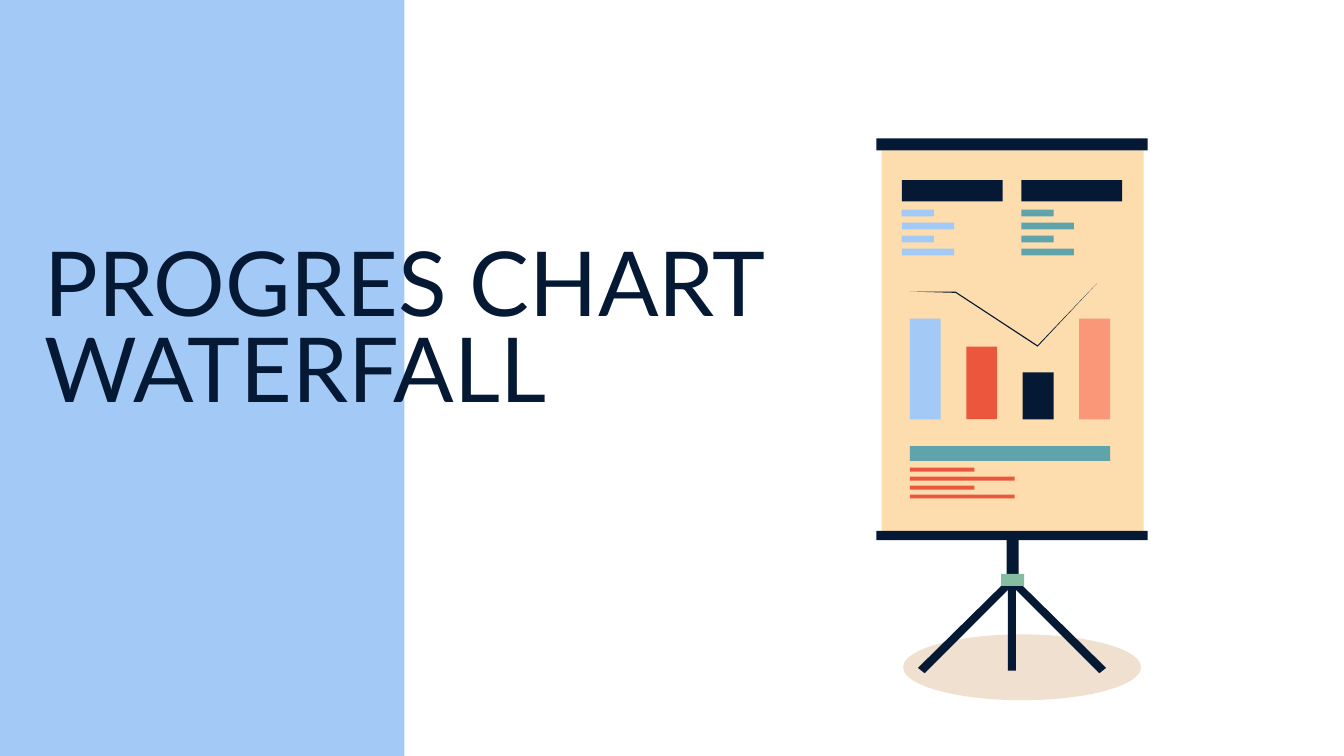
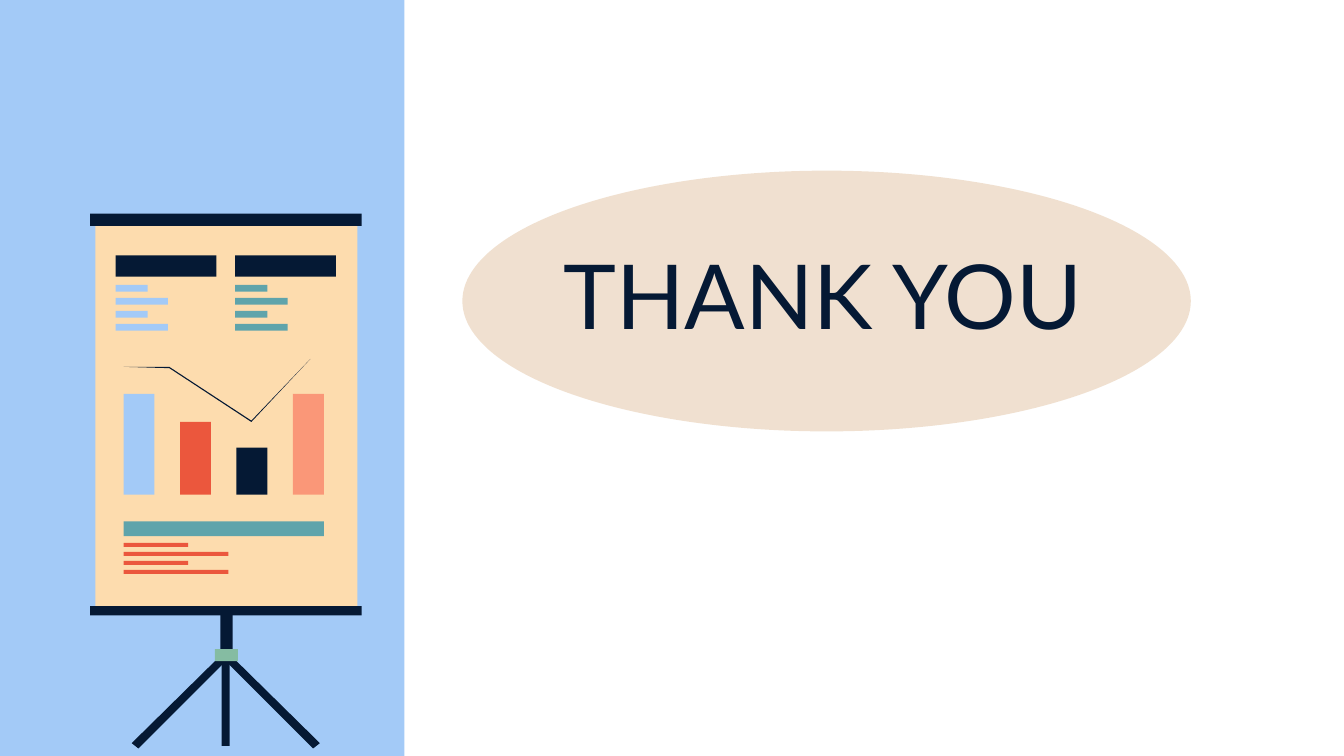
from lxml import etree
from pptx import Presentation
from pptx.dml.color import RGBColor
from pptx.enum.shapes import MSO_SHAPE
from pptx.enum.text import MSO_ANCHOR, MSO_AUTO_SIZE, PP_ALIGN
from pptx.oxml.ns import qn
from pptx.util import Inches, Pt

RECT = MSO_SHAPE.RECTANGLE
OVAL = MSO_SHAPE.OVAL
MIDDLE = MSO_ANCHOR.MIDDLE
LEFT = PP_ALIGN.LEFT
NO_FIT = MSO_AUTO_SIZE.NONE

NAVY = RGBColor(0x05, 0x19, 0x34)
BLUE = RGBColor(0xA3, 0xCA, 0xF7)
TEAL = RGBColor(0x5F, 0xA4, 0xAB)
RED = RGBColor(0xEB, 0x57, 0x3D)
SALMON = RGBColor(0xFA, 0x97, 0x78)
CREAM = RGBColor(0xFD, 0xDC, 0xAE)
GREEN = RGBColor(0x85, 0xBC, 0xA2)
BROWN = RGBColor(0xB4, 0x5F, 0x06)

FONT = "Lato"
BOARD_W = 2.02


def paint(shape, color):
    shape.shadow.inherit = False
    shape.fill.solid()
    shape.fill.fore_color.rgb = color
    shape.line.fill.background()


def add_block(shapes, box, color, kind=RECT):
    shape = shapes.add_shape(kind, *[Inches(v) for v in box])
    paint(shape, color)
    return shape


def add_oval(slide, box):
    """Add a see-through brown ellipse."""
    oval = add_block(slide.shapes, box, BROWN, OVAL)
    tint = oval.element.spPr.find(".//" + qn("a:srgbClr"))
    etree.SubElement(tint, qn("a:alpha")).set("val", "19000")


def set_title(slide, text, box):
    """Place the title above what is already drawn."""
    title = slide.shapes.title
    title.left, title.top, title.width, title.height = [Inches(v) for v in box]
    frame = title.text_frame
    frame.text = text
    frame.word_wrap = True
    frame.auto_size = NO_FIT
    frame.vertical_anchor = MIDDLE
    frame.margin_left = frame.margin_right = Inches(0.1)
    frame.margin_top = frame.margin_bottom = Inches(0.1)
    line = frame.paragraphs[0]
    line.alignment = LEFT
    line.line_spacing = 0.8
    for run in line.runs:
        run.font.name = FONT
        run.font.size = Pt(48)
        run.font.color.rgb = NAVY
    slide.shapes.element.append(title.element)


def add_board(slide, left, top):
    """Draw the flip chart with its top left corner at the given point."""
    shapes = slide.shapes.add_group_shape().shapes

    def block(x, y, width, height, color):
        add_block(shapes, (left + x, top + y, width, height), color)

    def outline(points):
        spots = [(Inches(left + x), Inches(top + y)) for x, y in points]
        pen = shapes.build_freeform(*spots[0])
        pen.add_line_segments(spots[1:])
        paint(pen.convert_to_shape(), NAVY)

    def list_bars(x, y, span, widths, height, color):
        for i in range(4):
            block(x, y + i * span / 3, widths[i % 2], height, color)

    # Stand
    leg = [(0.99, 3.27), (0.31, 3.94), (0.36, 3.98), (1.03, 3.31)]
    outline(leg)
    outline([(BOARD_W - x, y) for x, y in leg])
    block(0.98, 3.19, 0.06, 0.77, NAVY)
    block(0.97, 2.92, 0.09, 0.41, NAVY)
    block(0.93, 3.24, 0.17, 0.09, GREEN)

    # Sheet and rails
    block(0.04, 0.09, 1.95, 2.83, CREAM)
    block(0, 2.92, BOARD_W, 0.07, NAVY)
    block(0, 0, BOARD_W, 0.09, NAVY)

    # Text blocks
    for x, color in ((0.19, BLUE), (1.08, TEAL)):
        block(x, 0.31, 0.75, 0.16, NAVY)
        list_bars(x, 0.53, 0.29, (0.24, 0.39), 0.05, color)
    block(0.25, 2.29, 1.49, 0.11, TEAL)
    list_bars(0.25, 2.45, 0.2, (0.48, 0.78), 0.03, RED)

    # Columns and trend line
    base = 2.09
    columns = ((0.75, BLUE), (0.54, RED), (0.35, NAVY), (0.75, SALMON))
    for i, (height, color) in enumerate(columns):
        block(0.25 + 0.42 * i, base - height, 0.23, height, color)
    outline([(1.64, 1.08), (1.2, 1.54), (0.59, 1.14),
             (0.25, 1.14), (0.59, 1.15), (1.2, 1.55)])


def add_band(layout, slide):
    """Put the blue side band on the layout that the slides share."""
    band = add_block(slide.shapes, (-0.02, -0.02, 3.03, 5.65), BLUE)
    layout.shapes.element.insert(2, band.element)


def main():
    prs = Presentation()
    prs.slide_width = Inches(10)
    prs.slide_height = Inches(10) * 9 // 16
    layout = prs.slide_layouts[5]

    cover = prs.slides.add_slide(layout)
    add_band(layout, cover)
    add_oval(cover, (6.72, 4.72, 1.77, 0.49))
    set_title(cover, "PROGRES CHART\vWATERFALL", (0.23, 2.02, 6.75, 0.92))
    add_board(cover, 6.52, 1.03)

    close = prs.slides.add_slide(layout)
    add_oval(close, (3.44, 1.27, 5.42, 1.94))
    set_title(close, "THANK YOU", (4.09, 1.8, 5.08, 0.92))
    add_board(close, 0.67, 1.59)

    prs.save("out.pptx")


if __name__ == "__main__":
    main()
